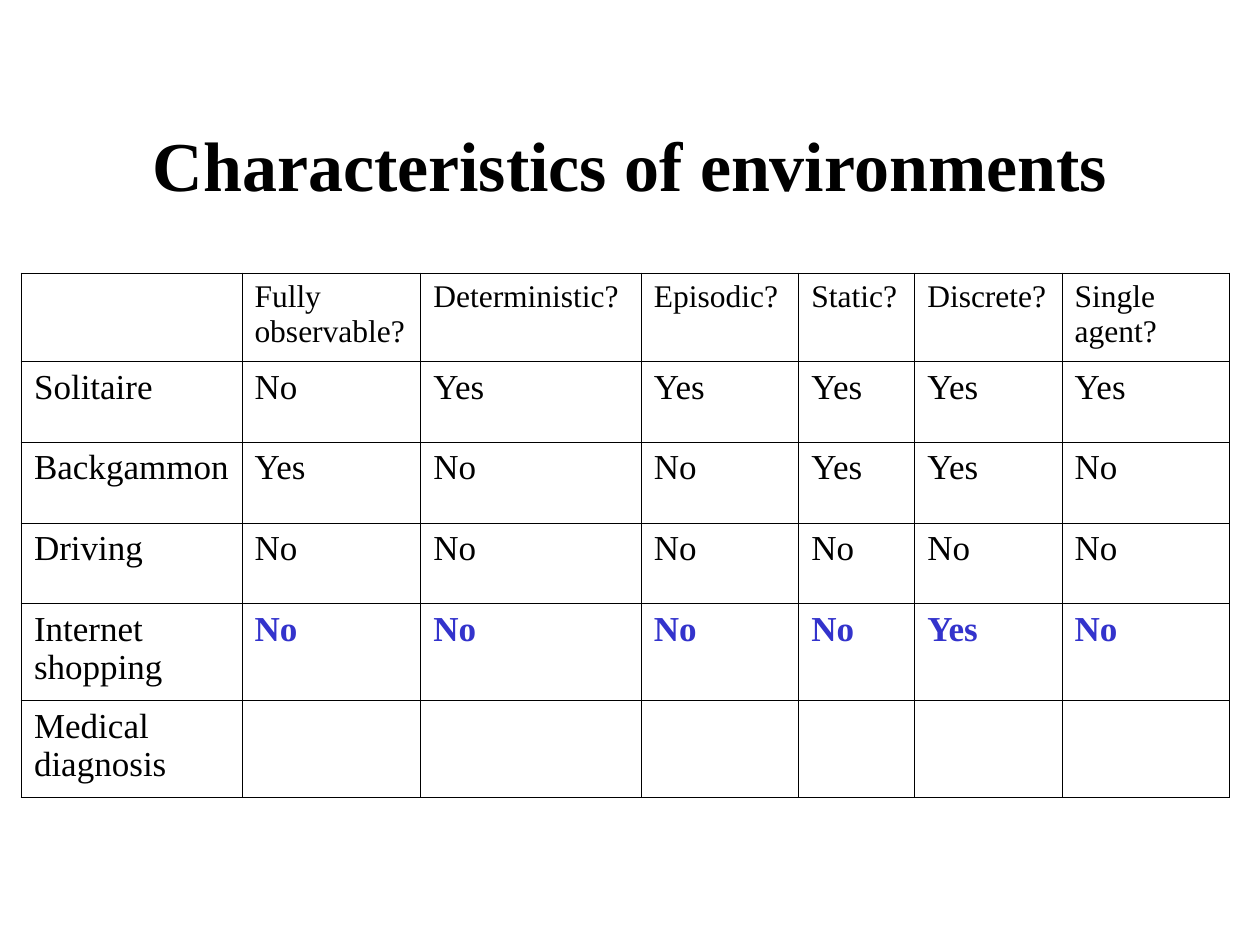
from lxml import etree
from pptx import Presentation
from pptx import util as u
from pptx.dml.color import RGBColor
from pptx.enum import text
from pptx.oxml.ns import qn

FONT = "Times New Roman"
BLACK, BLUE = "000000", "3333CC"
THIN, THICK = 0.45, 1.08

COLUMNS = [1.75, 1.42, 1.75, 1.25, 0.92, 1.17, 1.33]
ROWS = [0.7, 0.64, 0.64, 0.64, 0.77, 0.77]
ENVIRONMENTS = [
    ["", "Fully observable?", "Deterministic?", "Episodic?", "Static?", "Discrete?", "Single agent?"],
    ["Solitaire", "No", "Yes", "Yes", "Yes", "Yes", "Yes"],
    ["Backgammon", "Yes", "No", "No", "Yes", "Yes", "No"],
    ["Driving", "No", "No", "No", "No", "No", "No"],
    ["Internet shopping", "No", "No", "No", "No", "Yes", "No"],
    ["Medical diagnosis", "", "", "", "", "", ""],
]
HIGHLIGHTED_ROW = 4


def write(para, words, colour, **formats):
    span = para.add_run()
    span.text = words
    span.font.color.rgb = RGBColor.from_string(colour)
    for name, value in {"name": FONT, **formats}.items():
        setattr(span.font, name, value)


def add_border(cell, side, points):
    line = etree.SubElement(cell._tc.get_or_add_tcPr(), qn(f"a:ln{side}"), w=str(u.Pt(points)))
    fill = etree.SubElement(line, qn("a:solidFill"))
    etree.SubElement(fill, qn("a:srgbClr"), val=BLACK)


deck = Presentation()
deck.slide_width, deck.slide_height = u.Inches(10), u.Inches(7.5)
page = deck.slides.add_slide(deck.slide_layouts[5])

title = page.shapes.title
title_place = {"left": 0.75, "top": 0.67, "width": 8.5, "height": 1.25}
for name, value in title_place.items():
    setattr(title, name, u.Inches(value))
title.text_frame.vertical_anchor = text.MSO_ANCHOR.MIDDLE
title_para = title.text_frame.paragraphs[0]
title_para.alignment = text.PP_ALIGN.CENTER
write(title_para, "Characteristics of environments", BLACK, size=u.Pt(40), bold=True)

table = page.shapes.add_table(
    len(ROWS), len(COLUMNS), u.Inches(0.17), u.Inches(2.17),
    u.Inches(sum(COLUMNS)), u.Inches(sum(ROWS))).table
table.first_row = table.horz_banding = False
for column, width in zip(table.columns, COLUMNS):
    column.width = u.Inches(width)
for row, height in zip(table.rows, ROWS):
    row.height = u.Inches(height)

last_row, last_column = len(ROWS) - 1, len(COLUMNS) - 1
for r, entries in enumerate(ENVIRONMENTS):
    for c, words in enumerate(entries):
        cell = table.cell(r, c)
        outer = {"L": c == 0, "R": c == last_column, "T": r == 0, "B": r == last_row}
        for side, is_outer in outer.items():
            add_border(cell, side, THICK if is_outer else THIN)
        cell.fill.background()
        if words:
            answer = r == HIGHLIGHTED_ROW and c > 0
            write(cell.text_frame.paragraphs[0], words, BLUE if answer else BLACK,
                  size=u.Pt(18 if r == 0 else 20), bold=answer)

deck.save("out.pptx")
